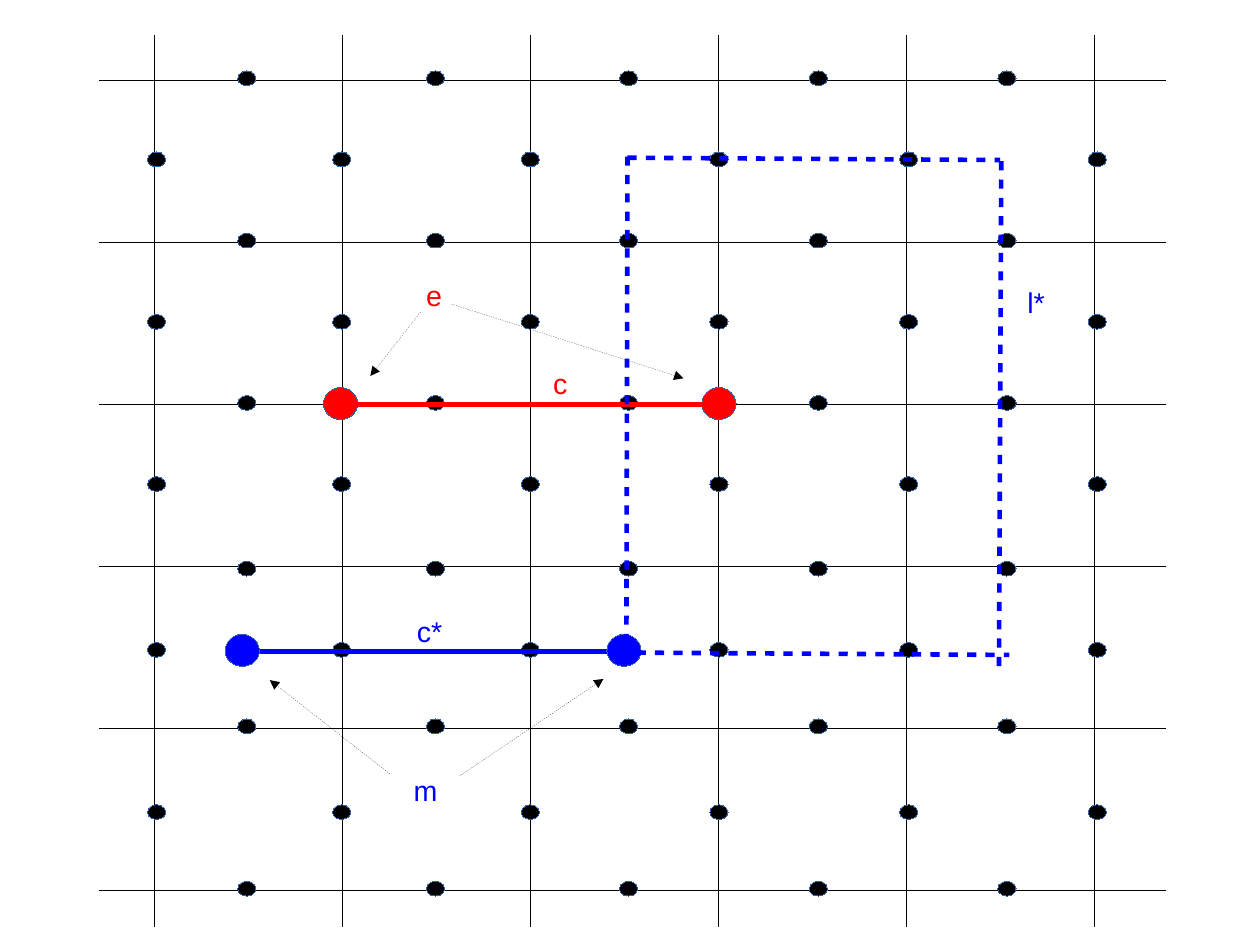
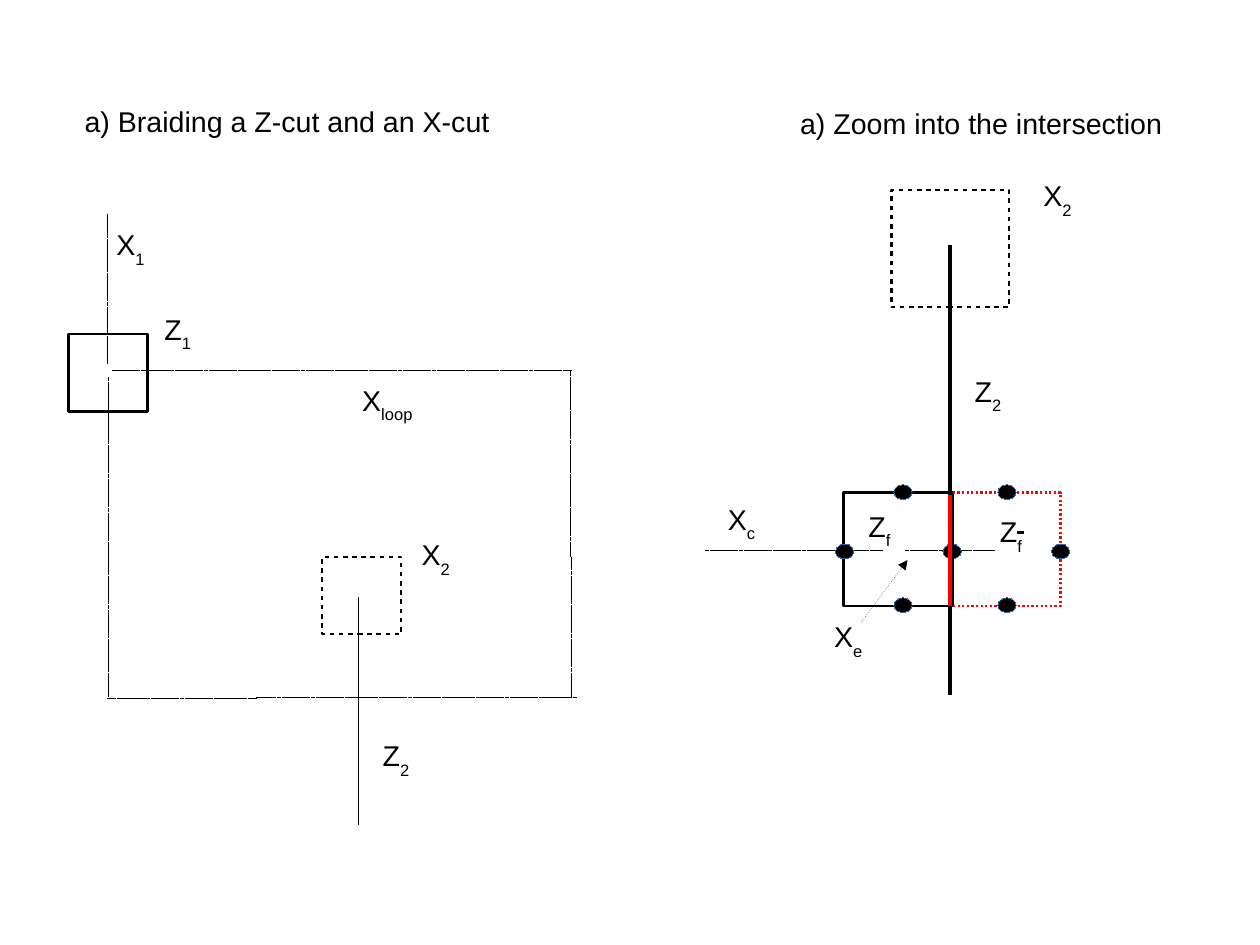
import pptx
import pptx.util
import pptx.dml.color
import pptx.enum.shapes
import pptx.enum.text
import pptx.oxml.ns
import lxml.etree

Inches = pptx.util.Inches
RGBColor = pptx.dml.color.RGBColor
qn = pptx.oxml.ns.qn
OVAL = pptx.enum.shapes.MSO_SHAPE.OVAL
RECTANGLE = pptx.enum.shapes.MSO_SHAPE.RECTANGLE

BLACK = RGBColor(0x00, 0x00, 0x00)
RED = RGBColor(0xFF, 0x00, 0x00)
BLUE = RGBColor(0x00, 0x00, 0xFF)
DOT_EDGE = RGBColor(0x34, 0x65, 0xA4)
FONT = "Arial"
TEXT_SIZE = pptx.util.Pt(18)
HAIR, MEDIUM, THICK = 0, 1.45, 2.89
DASHED, FINE, DOTTED = (2, 2), (3, 1), (1, 1)
DOT = (0.16, 0.13)
DISC = (0.3, 0.28)


def stroke(item, color, width, dash=None, arrow=False):
    item.line.color.rgb = color
    properties = item.element.spPr
    outline = properties.find(qn("a:ln"))
    outline.set("w", str(pptx.util.Pt(width)))
    if dash:
        pattern = lxml.etree.SubElement(outline, qn("a:custDash"))
        lxml.etree.SubElement(pattern, qn("a:ds"), d=str(dash[0] * 100000), sp=str(dash[1] * 100000))
    if arrow:
        lxml.etree.SubElement(outline, qn("a:tailEnd"), type="triangle")
    if properties.find(qn("a:effectLst")) is None:
        lxml.etree.SubElement(properties, qn("a:effectLst"))


def draw(slide, kind, place, color=BLACK, width=HAIR, dash=None, arrow=False, fill=None):
    lengths = [Inches(value) for value in place]
    if kind == "line":
        item = slide.shapes.add_connector(pptx.enum.shapes.MSO_CONNECTOR.STRAIGHT, *lengths)
    else:
        item = slide.shapes.add_shape(kind, *lengths)
        item.shadow.inherit = False
        if fill is None:
            item.fill.background()
        else:
            item.fill.solid()
            item.fill.fore_color.rgb = fill
    stroke(item, color, width, dash, arrow)


deck = pptx.Presentation()
deck.slide_width = pptx.util.Cm(28)
deck.slide_height = pptx.util.Cm(21)

lattice = deck.slides.add_slide(deck.slide_layouts[6])

for step in range(6):
    row = 0.7 + 7.09 * step / 5
    draw(lattice, "line", (0.87, row, 10.2, row))
for step in range(6):
    column = 1.35 + 8.23 * step / 5
    draw(lattice, "line", (column, 0.31, column, 8.11))

edge_dots = [
    ((2.08, 3.73, 5.42, 7.08, 8.73), (0.62, 2.04, 3.46, 4.91, 6.29, 7.71)),
    ((1.29, 2.91, 4.56, 6.21, 7.87, 9.52), (1.33, 2.75, 4.17, 5.62, 7.04)),
]
for columns, rows in edge_dots:
    for left in columns:
        for top in rows:
            draw(lattice, OVAL, (left, top, *DOT), DOT_EDGE, fill=BLACK)

for left in (2.83, 6.14):
    draw(lattice, OVAL, (left, 3.39, *DISC), DOT_EDGE, fill=RED)
draw(lattice, "line", (3.01, 3.54, 6.28, 3.54), RED, THICK)
draw(lattice, "line", (2.22, 5.7, 5.49, 5.7), BLUE, THICK)
for left in (1.97, 5.31):
    draw(lattice, OVAL, (left, 5.55, *DISC), DOT_EDGE, fill=BLUE)

loop_sides = [
    (5.57, 5.71, 8.83, 5.73),
    (8.76, 1.41, 8.74, 5.85),
    (5.49, 1.38, 8.75, 1.4),
    (5.49, 1.37, 5.48, 5.81),
]
for side in loop_sides:
    draw(lattice, "line", side, BLUE, THICK, DASHED)

anyon_pointers = [
    (3.41, 6.77, 2.36, 5.95),
    (4.02, 6.79, 5.28, 5.94),
    (3.95, 2.66, 5.98, 3.31),
    (3.68, 2.73, 3.24, 3.29),
]
for pointer in anyon_pointers:
    draw(lattice, "line", pointer, dash=DOTTED, arrow=True)

braiding = deck.slides.add_slide(deck.slide_layouts[4])

captions = {
    1: ("a) Braiding a Z-cut and an X-cut", 0.64, 0.86),
    3: ("a) Zoom into the intersection", 6.9, 0.88),
}
for holder in list(braiding.placeholders):
    if holder.placeholder_format.idx not in captions:
        holder.element.getparent().remove(holder.element)
        continue
    wording, left, top = captions[holder.placeholder_format.idx]
    holder.left, holder.top = Inches(left), Inches(top)
    holder.width, holder.height = Inches(4), Inches(0.43)
    frame = holder.text_frame
    frame.text = wording
    frame.word_wrap = True
    frame.auto_size = pptx.enum.text.MSO_AUTO_SIZE.NONE
    frame.vertical_anchor = pptx.enum.text.MSO_ANCHOR.TOP
    paragraph = frame.paragraphs[0]
    paragraph.space_before = pptx.util.Pt(0)
    font = paragraph.runs[0].font
    font.name, font.size, font.bold = FONT, TEXT_SIZE, False
    font.color.rgb = BLACK

draw(braiding, RECTANGLE, (0.6, 2.92, 0.69, 0.68), width=MEDIUM)
draw(braiding, RECTANGLE, (2.82, 4.87, 0.69, 0.68), width=MEDIUM, dash=DASHED)

x_strings = [
    (0.94, 1.88, 0.94, 3.18),
    (0.95, 3.3, 0.95, 6.1),
    (0.94, 6.11, 5.05, 6.1),
    (5, 6.09, 4.99, 3.24),
    (0.98, 3.24, 5, 3.24),
    (6.17, 4.82, 7.72, 4.82),
    (7.92, 4.82, 8.7, 4.82),
]
for string in x_strings:
    draw(braiding, "line", string, dash=FINE)
draw(braiding, "line", (3.14, 5.23, 3.14, 7.21))

draw(braiding, OVAL, (8.25, 4.76, *DOT), DOT_EDGE, fill=BLACK)
draw(braiding, RECTANGLE, (7.38, 4.31, 0.96, 0.99), width=MEDIUM)
draw(braiding, RECTANGLE, (8.32, 4.31, 0.96, 0.99), RED, MEDIUM, DOTTED)
draw(braiding, "line", (8.9, 4.66, 8.96, 4.66), width=MEDIUM)
face_dots = [(7.82, 4.24), (8.73, 4.24), (8.73, 5.23), (7.82, 5.23), (7.31, 4.76), (9.2, 4.76)]
for corner in face_dots:
    draw(braiding, OVAL, (*corner, *DOT), DOT_EDGE, fill=BLACK)
draw(braiding, "line", (7.53, 5.45, 7.94, 4.9), dash=DOTTED, arrow=True)
draw(braiding, "line", (8.31, 2.14, 8.31, 6.08), width=THICK)
draw(braiding, RECTANGLE, (7.8, 1.66, 1.03, 1.03), width=MEDIUM, dash=DASHED)
draw(braiding, "line", (8.31, 4.33, 8.31, 5.3), RED, THICK)

labels = [
    (lattice, "c", "", 4.74, 3.15, RED),
    (lattice, "c*", "", 3.55, 5.32, BLUE),
    (lattice, "l*", "", 8.89, 2.44, BLUE),
    (lattice, "m", "", 3.52, 6.71, BLUE),
    (lattice, "e", "", 3.63, 2.38, RED),
    (braiding, "X", "1", 0.92, 1.94, BLACK),
    (braiding, "Z", "1", 1.34, 2.68, BLACK),
    (braiding, "X", "loop", 3.07, 3.3, BLACK),
    (braiding, "X", "2", 3.59, 4.65, BLACK),
    (braiding, "Z", "2", 3.25, 6.41, BLACK),
    (braiding, "Z", "f", 7.5, 4.4, BLACK),
    (braiding, "Z", "f", 8.65, 4.45, BLACK),
    (braiding, "X", "c", 6.27, 4.34, BLACK),
    (braiding, "X", "e", 7.2, 5.37, BLACK),
    (braiding, "Z", "2", 8.43, 3.22, BLACK),
    (braiding, "X", "2", 9.03, 1.51, BLACK),
]
for slide, symbol, subscript, left, top, color in labels:
    width = 1.06 if subscript else 0.67
    label = slide.shapes.add_textbox(Inches(left), Inches(top), Inches(width), Inches(0.44))
    label.text_frame.word_wrap = True
    paragraph = label.text_frame.paragraphs[0]
    paragraph.text = symbol
    if subscript:
        index = paragraph.add_run()
        index.text = subscript
        index.font._element.set("baseline", "-33000")
    for run in paragraph.runs:
        run.font.name, run.font.size = FONT, TEXT_SIZE
        run.font.color.rgb = color

deck.save("out.pptx")
